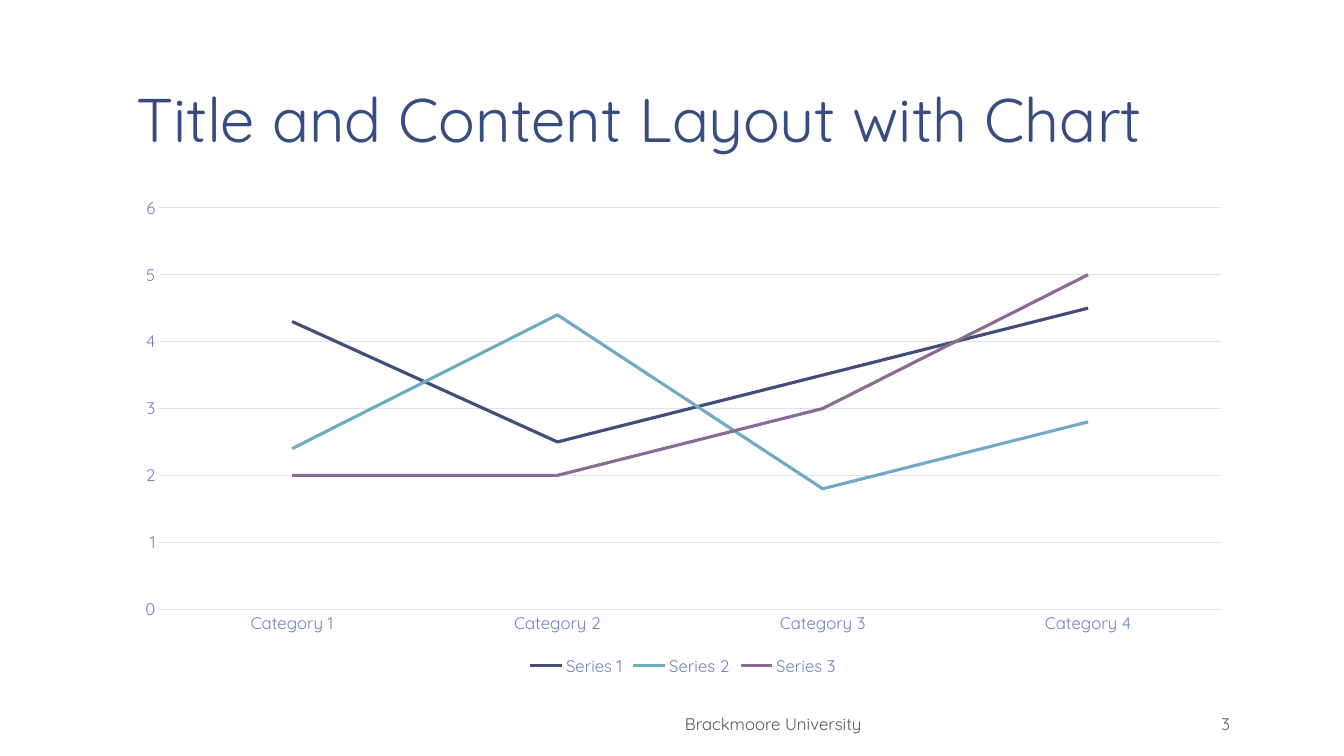
from pptx import Presentation
from pptx.chart.data import CategoryChartData
from pptx.dml.color import RGBColor
from pptx.enum.chart import XL_CHART_TYPE, XL_LEGEND_POSITION, XL_MARKER_STYLE, XL_TICK_MARK
from pptx.enum.text import MSO_ANCHOR, PP_ALIGN
from pptx.util import Inches, Pt

LINE_CHART = XL_CHART_TYPE.LINE
LEGEND_BOTTOM = XL_LEGEND_POSITION.BOTTOM
NO_MARKER = XL_MARKER_STYLE.NONE
NO_TICK = XL_TICK_MARK.NONE
BOTTOM = MSO_ANCHOR.BOTTOM
LEFT, CENTER, RIGHT = PP_ALIGN.LEFT, PP_ALIGN.CENTER, PP_ALIGN.RIGHT

FONT = "Quicksand"
COLORS = {
    "background": "FFFFFF",
    "title": "374C81",
    "label": "6A83C0",
    "grid": "DDE2F0",
    "footer": "595959",
}
CATEGORIES = ["Category 1", "Category 2", "Category 3", "Category 4"]
SERIES = [
    ("Series 1", [4.3, 2.5, 3.5, 4.5], "414E77"),
    ("Series 2", [2.4, 4.4, 1.8, 2.8], "70AAC4"),
    ("Series 3", [2, 2, 3, 5], "8B6A94"),
]
CONTENT_LEFT, CONTENT_WIDTH = 1.22, 11.11
FOOTER_TOP, FOOTER_HEIGHT = 7, 0.35


def style_font(font, size, color):
    font.name = FONT
    font.size = Pt(size)
    font.bold = False
    font.color.rgb = RGBColor.from_string(color)


def style_line(line, width, color):
    line.width = Pt(width)
    line.color.rgb = RGBColor.from_string(color)


def add_text(slide, text, box, size, color, align=LEFT, line_spacing=1.0):
    """Add bottom-anchored text; box is left, top, width, height in inches."""
    frame = slide.shapes.add_textbox(*map(Inches, box)).text_frame
    frame.word_wrap = True
    frame.vertical_anchor = BOTTOM
    frame.margin_left = frame.margin_right = Inches(0.13)
    frame.margin_top = frame.margin_bottom = Inches(0.07)
    paragraph = frame.paragraphs[0]
    paragraph.text = text
    paragraph.alignment = align
    paragraph.line_spacing = line_spacing
    style_font(paragraph.font, size, color)


def style_axes(chart):
    for axis in (chart.category_axis, chart.value_axis):
        axis.major_tick_mark = axis.minor_tick_mark = NO_TICK
        style_font(axis.tick_labels.font, 12, COLORS["label"])
    style_line(chart.category_axis.format.line, 0.75, COLORS["grid"])

    values = chart.value_axis
    values.minimum_scale, values.maximum_scale, values.major_unit = 0, 6, 1
    values.format.line.fill.background()
    style_line(values.major_gridlines.format.line, 0.75, COLORS["grid"])


def add_line_chart(slide, box):
    data = CategoryChartData()
    data.categories = CATEGORIES
    for name, values, _ in SERIES:
        data.add_series(name, values)
    chart = slide.shapes.add_chart(LINE_CHART, *map(Inches, box), data).chart
    chart.has_title = False
    style_font(chart.font, 10, COLORS["title"])
    style_axes(chart)

    chart.has_legend = True
    chart.legend.position = LEGEND_BOTTOM
    chart.legend.include_in_layout = False
    style_font(chart.legend.font, 12, COLORS["label"])

    plot = chart.plots[0]
    plot.vary_by_categories = False
    for series, (_, _, color) in zip(plot.series, SERIES):
        series.smooth = False
        series.marker.style = NO_MARKER
        style_line(series.format.line, 2.25, color)


def main():
    presentation = Presentation()
    presentation.slide_width = Inches(13.33)
    presentation.slide_height = Inches(7.5)
    slide = presentation.slides.add_slide(presentation.slide_layouts[6])
    slide.background.fill.solid()
    slide.background.fill.fore_color.rgb = RGBColor.from_string(COLORS["background"])

    add_text(slide, "Title and Content Layout with Chart",
             (CONTENT_LEFT, 0.08, CONTENT_WIDTH, 1.53), 44, COLORS["title"], line_spacing=0.85)
    add_line_chart(slide, (CONTENT_LEFT, 1.86, CONTENT_WIDTH, 4.89))
    add_text(slide, "Brackmoore University", (4.27, FOOTER_TOP, 6.8, FOOTER_HEIGHT),
             12, COLORS["footer"], CENTER)
    add_text(slide, "3", (11.12, FOOTER_TOP, 1.21, FOOTER_HEIGHT),
             12, COLORS["footer"], RIGHT)
    presentation.save("out.pptx")


if __name__ == "__main__":
    main()
